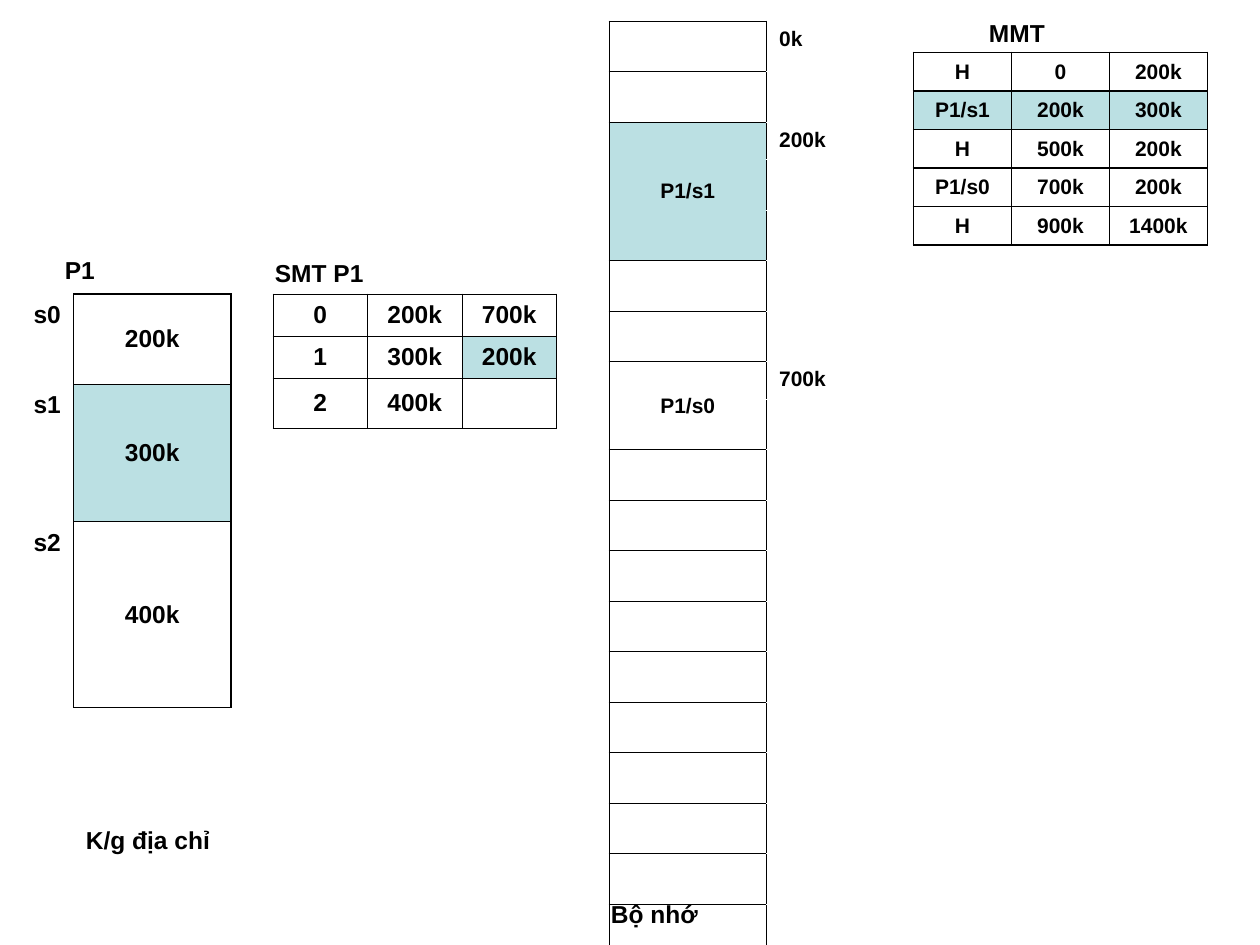
from dataclasses import dataclass, field

from lxml import etree
from pptx import Presentation
from pptx import util as u
from pptx.dml.color import RGBColor
from pptx.enum import text
from pptx.oxml.ns import qn

COLOURS = {"ink": "000000", "shade": "BBE0E3", "paper": "FFFFFF"}
THIN, THICK = 0.45, 1.08
PLAIN_STYLE = "{2D5ABB26-0587-4C30-8999-92F81FD0307C}"


@dataclass
class Column:
    width: float
    edges: dict = field(default_factory=dict)  # side: (colour name, line width)
    align: text.PP_ALIGN = text.PP_ALIGN.CENTER
    anchor: text.MSO_ANCHOR = text.MSO_ANCHOR.MIDDLE


def ink(**widths):
    return {side: ("ink", width) for side, width in widths.items()}


class Board:
    font = "Arial"

    def __init__(self, slide):
        self.slide = slide

    def format_text(self, para, size):
        for span in para.runs:
            span.font.name = self.font
            span.font.size = u.Pt(size)
            span.font.bold = True
            span.font.color.rgb = RGBColor.from_string(COLOURS["ink"])

    def caption(self, left, top, width, words):
        box = self.slide.shapes.add_textbox(u.Pt(left), u.Pt(top), u.Pt(width), u.Pt(24.5))
        frame = box.text_frame
        frame.word_wrap = False
        frame.auto_size = text.MSO_AUTO_SIZE.SHAPE_TO_FIT_TEXT
        frame.text = words
        self.format_text(frame.paragraphs[0], 14)

    def borders(self, cell, edges):
        properties = cell._tc.get_or_add_tcPr()
        for side in "LRTB":
            if side not in edges:
                continue
            colour, width = edges[side]
            line = etree.SubElement(properties, qn(f"a:ln{side}"), w=str(u.Pt(width)))
            fill = etree.SubElement(line, qn("a:solidFill"))
            etree.SubElement(fill, qn("a:srgbClr"), val=COLOURS[colour])

    def empty_line(self, para):
        """Give an empty cell the height of an 18 pt line in the slide font."""
        end = etree.SubElement(para._p, qn("a:endParaRPr"), sz="1800")
        etree.SubElement(end, qn("a:latin"), typeface=self.font)

    def table(self, left, top, columns, row_height, rows, size, shaded=(), inner=None,
              empty_column=None):
        """Draw rows of text; None continues the cell above it."""
        frame = self.slide.shapes.add_table(
            len(rows), len(columns), u.Pt(left), u.Pt(top),
            u.Pt(sum(column.width for column in columns)), u.Pt(row_height * len(rows)))
        grid = frame.table
        grid.first_row = grid.horz_banding = False
        grid._tbl.tblPr.find(qn("a:tableStyleId")).text = PLAIN_STYLE
        for row in grid.rows:
            row.height = u.Pt(row_height)

        for c, column in enumerate(columns):
            grid.columns[c].width = u.Pt(column.width)
            for r, row in enumerate(rows):
                cell, words = grid.cell(r, c), row[c]
                if words is None:
                    continue
                last = r
                while last + 1 < len(rows) and rows[last + 1][c] is None:
                    last += 1
                if last > r:
                    cell.merge(grid.cell(last, c))

                edges = dict(column.edges)
                if inner and "T" in edges and r > 0:
                    edges["T"] = ("ink", inner)
                if inner and "B" in edges and last < len(rows) - 1:
                    edges["B"] = ("ink", inner)
                self.borders(cell, edges)
                if (r, c) in shaded:
                    cell.fill.solid()
                    cell.fill.fore_color.rgb = RGBColor.from_string(COLOURS["shade"])
                else:
                    cell.fill.background()

                para = cell.text_frame.paragraphs[0]
                if words:
                    cell.vertical_anchor = column.anchor
                    para.text = words
                    para.alignment = column.align
                    para.space_before = u.Pt(size / 4)
                    self.format_text(para, size)
                elif c == empty_column:
                    self.empty_line(para)


def main():
    deck = Presentation()
    deck.slide_width, deck.slide_height = u.Pt(720), u.Pt(540)
    page = deck.slides.add_slide(deck.slide_layouts[6])
    board = Board(page)

    # Address space of the process
    segments = [("s0", "200k", 2), ("s1", "300k", 3), ("s2", "400k", 4)]
    space_rows = []
    for name, length, height in segments:
        space_rows += [(name, length)] + [("", None)] * (height - 1)
    board.table(12, 168, [Column(30, ink(R=THIN)),
                          Column(90, ink(L=THIN, R=THICK, T=THICK, B=THICK))],
                24, space_rows, 14, shaded={(2, 1)}, inner=THIN, empty_column=0)
    board.caption(30, 142, 33, "P1")

    # Segment map table
    cell_box = ink(L=THIN, R=THIN, T=THIN, B=THIN)
    board.table(156, 168, [Column(54, cell_box)] * 3, 24,
                [("0", "200k", "700k"), ("1", "300k", "200k"), ("2", "400k", "")],
                14, shaded={(1, 2)})
    board.caption(150, 144, 67, "SMT P1")

    # Captions under the two memory views
    board.caption(342, 510, 66, "Bộ nhớ")
    board.caption(42, 468, 88, "K/g địa chỉ")

    # Physical memory with its addresses
    paper = ("paper", THIN)
    addresses = Column(66, {"L": ("ink", THIN), "R": paper, "T": paper, "B": paper},
                       text.PP_ALIGN.LEFT, text.MSO_ANCHOR.TOP)
    free = ("", "")
    memory_rows = [("", "0k"), free,
                   ("P1/s1", "200k"), (None, ""), (None, ""), free, free,
                   ("P1/s0", "700k"), (None, "")] + [free] * 14
    board.table(348, 12, [Column(90, cell_box), addresses], 21.6, memory_rows, 12,
                shaded={(2, 0)})

    # Memory map table
    board.caption(558, 6.5, 49, "MMT")
    map_columns = [Column(56, ink(L=left, R=right, T=THICK, B=THICK))
                   for left, right in [(THICK, THIN), (THIN, THIN), (THIN, THICK)]]
    board.table(522, 30, map_columns, 22,
                [("H", "0", "200k"), ("P1/s1", "200k", "300k"), ("H", "500k", "200k"),
                 ("P1/s0", "700k", "200k"), ("H", "900k", "1400k")],
                12, shaded={(1, c) for c in range(3)})

    deck.save("out.pptx")


if __name__ == "__main__":
    main()
